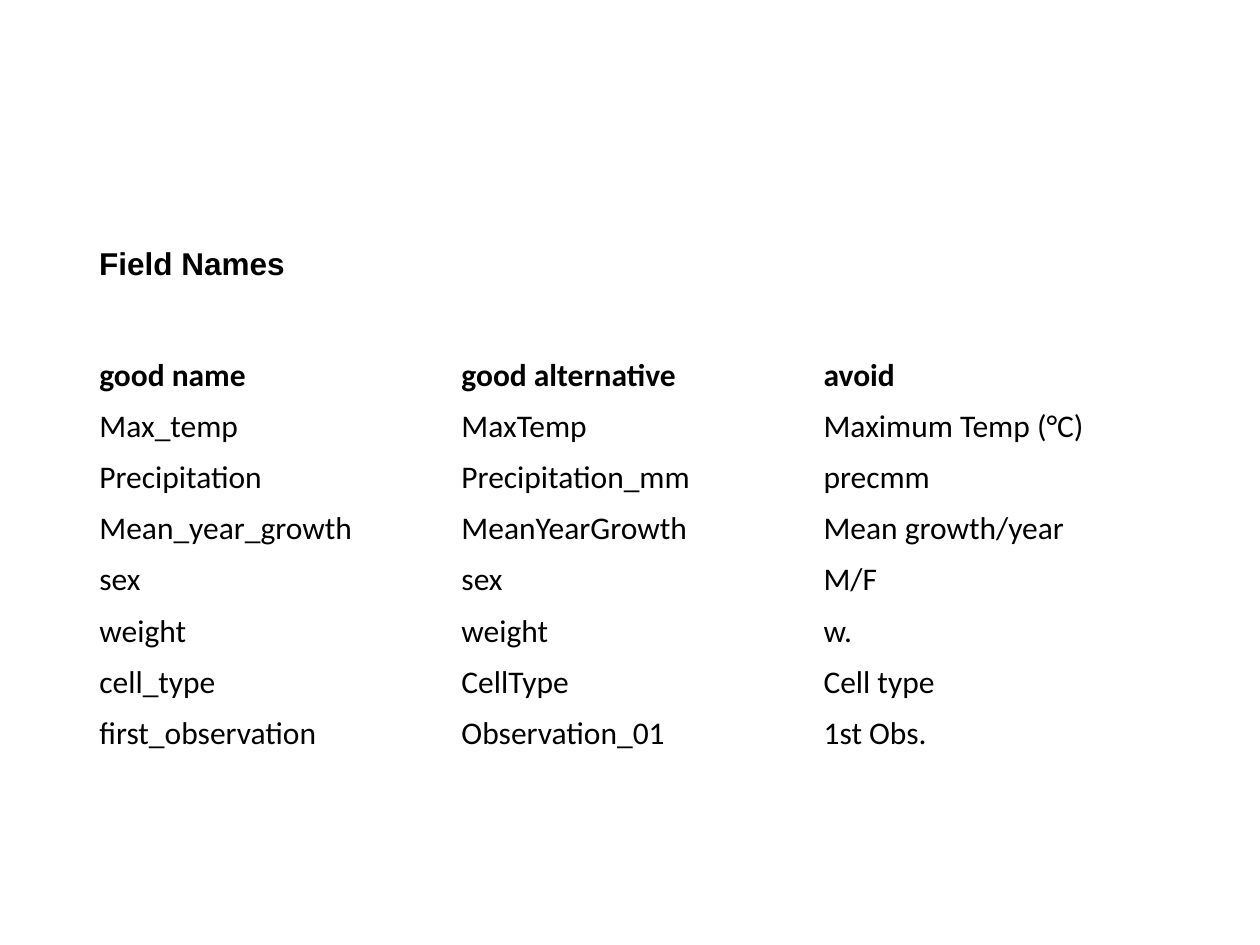
from pptx import Presentation
from pptx.dml.color import RGBColor as Rgb
from pptx.enum.text import MSO_ANCHOR as Anchor, MSO_AUTO_SIZE as Auto
from pptx.util import Cm, Pt

HUES = {"ink": "000000"}

ROWS = [
    ("good name", "good alternative", "avoid"),
    ("Max_temp", "MaxTemp", "Maximum Temp (°C)"),
    ("Precipitation", "Precipitation_mm", "precmm"),
    ("Mean_year_growth", "MeanYearGrowth", "Mean growth/year"),
    ("sex", "sex", "M/F"),
    ("weight", "weight", "w."),
    ("cell_type", "CellType", "Cell type"),
    ("first_observation", "Observation_01", "1st Obs."),
]


class Page:
    """Holds the text style and the current slide."""

    size = Pt(18)
    ink = Rgb.from_string(HUES["ink"])

    def __init__(self, slide):
        self.slide = slide

    def label(self, frame, text, face, bold):
        par = frame.paragraphs[0]
        par.text = text
        font = par.font
        font.name, font.size, font.bold = face, self.size, bold
        font.color.rgb = self.ink

    def title(self, text, left, top, width, height):
        box = self.slide.shapes.add_textbox(Cm(left), Cm(top), Cm(width), Cm(height))
        frame = box.text_frame
        frame.word_wrap = False
        frame.auto_size = Auto.SHAPE_TO_FIT_TEXT
        frame.vertical_anchor = Anchor.MIDDLE
        self.label(frame, text, "Arial", True)

    def table(self, rows, left, top, width, height):
        grid = self.slide.shapes.add_table(
            len(rows), len(rows[0]), Cm(left), Cm(top), Cm(width), Cm(height)
        ).table
        grid.first_row = grid.horz_banding = False
        for r, row in enumerate(rows):
            for c, text in enumerate(row):
                cell = grid.cell(r, c)
                cell.fill.background()
                cell.vertical_anchor = Anchor.MIDDLE
                self.label(cell.text_frame, text, "Calibri", r == 0)


# Slide
deck = Presentation()
deck.slide_width, deck.slide_height = Cm(25.4), Cm(19.05)
page = Page(deck.slides.add_slide(deck.slide_layouts[6]))

# Table of names, then its heading
page.table(ROWS, 1.75, 7.06, 21.9, 8.13)
page.title("Field Names", 1.75, 4.8, 4.29, 1.02)

deck.save("out.pptx")
